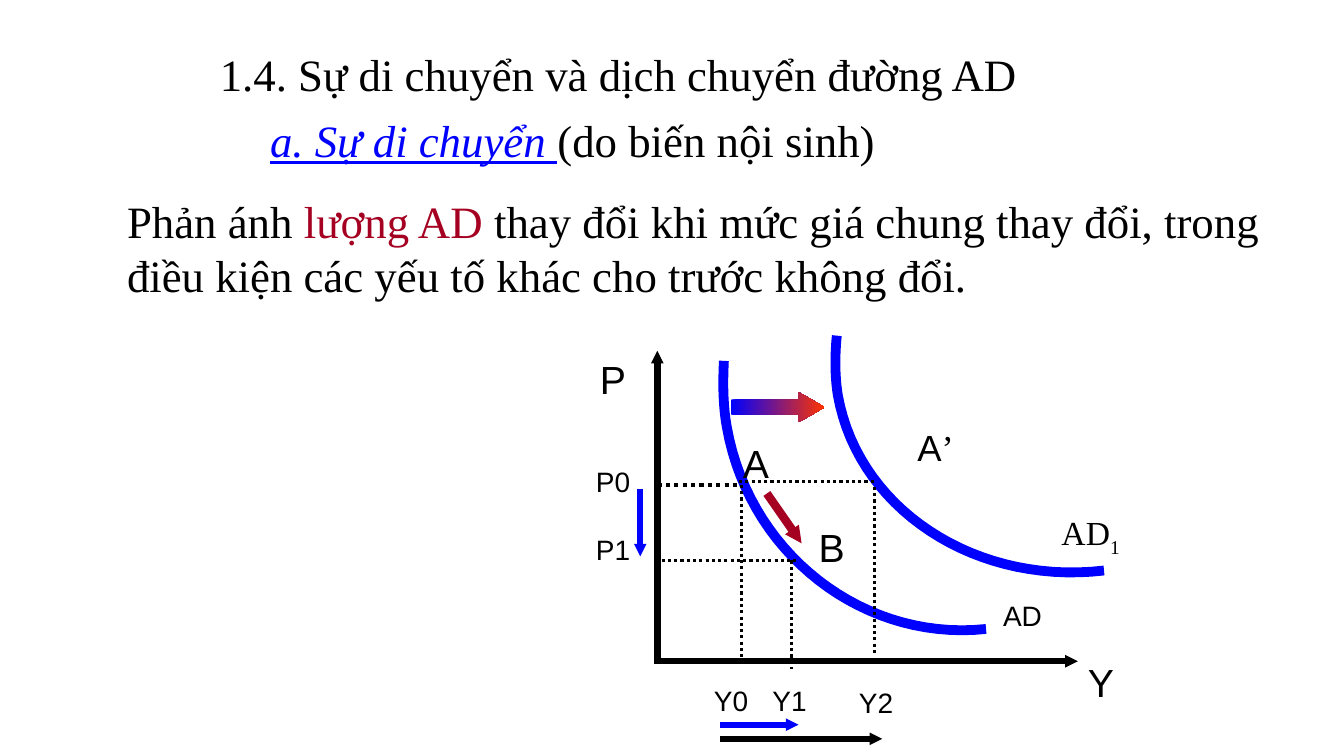
from dataclasses import dataclass

from lxml import etree
from pptx import Presentation
from pptx.dml.color import RGBColor
from pptx.enum.dml import MSO_LINE
from pptx.enum.shapes import MSO_CONNECTOR, MSO_SHAPE
from pptx.enum.text import MSO_ANCHOR, MSO_AUTO_SIZE, PP_ALIGN
from pptx.oxml.ns import qn
from pptx.slide import Slide
from pptx.text.text import TextFrame
from pptx.util import Inches, Pt

STRAIGHT = MSO_CONNECTOR.STRAIGHT
RIGHT_ARROW = MSO_SHAPE.RIGHT_ARROW
DOTTED = MSO_LINE.ROUND_DOT
LEFT, RIGHT = PP_ALIGN.LEFT, PP_ALIGN.RIGHT
TOP = MSO_ANCHOR.TOP
NO_AUTOFIT = MSO_AUTO_SIZE.NONE

Point = tuple[float, float]
Box = tuple[float, float, float, float]


@dataclass(frozen=True)
class Theme:
    serif: str = "Times New Roman"
    sans: str = "Arial"
    black: str = "000000"
    blue: str = "0000FF"
    crimson: str = "A50021"
    orange: str = "FF3300"
    heading: float = 32
    letter: float = 28
    shifted_letter: float = 26
    shifted_curve: float = 24
    tick: float = 20
    curve: float = 7
    movement: float = 6
    arrow: float = 4.5
    bold_guide: float = 3
    guide: float = 2.25


THEME = Theme()


@dataclass(frozen=True)
class Span:
    text: str
    size: float = THEME.heading
    font: str = THEME.serif
    color: str = THEME.black
    emphasis: bool = False
    subscript: bool = False


@dataclass(frozen=True)
class Label:
    box: Box
    spans: tuple[Span, ...]
    align: PP_ALIGN = LEFT
    wrap: bool = True


@dataclass(frozen=True)
class Segment:
    start: Point
    end: Point
    width: float = THEME.guide
    color: str = THEME.black
    arrow: bool = False


@dataclass(frozen=True)
class Curve:
    start: Point
    beziers: tuple[tuple[Point, Point, Point], ...]


def tick(text: str, left: float, top: float) -> Label:
    return Label((left, top, 0.58, 0.43), (Span(text, THEME.tick, THEME.sans),), RIGHT)


def letter(text: str, left: float, top: float, width: float) -> Label:
    return Label((left, top, width, 0.57), (Span(text, THEME.letter, THEME.sans),))


TITLE = Label((2.08, 0.41, 9, 0.63), (Span("1.4. Sự di chuyển và dịch chuyển đường AD"),))
DEFINITION = Label((1.16, 1.87, 11.52, 1.18), (
    Span("Phản ánh "),
    Span("lượng AD ", color=THEME.crimson),
    Span("thay đổi khi mức giá chung thay đổi, trong điều kiện các yếu tố khác cho trước không đổi."),
))
SUBTITLE = Label((2.58, 1.07, 8.67, 0.63), (
    Span("a. Sự di chuyển ", color=THEME.blue, emphasis=True),
    Span("(do biến nội sinh)"),
))
LABELS = (
    SUBTITLE,
    letter("P", 5.85, 3.48, 0.42),
    letter("Y", 10.69, 6.48, 0.42),
    letter("A", 7.27, 4.31, 0.67),
    letter("B", 8.02, 5.14, 0.67),
    tick("P0", 5.77, 4.56),
    tick("P1", 5.77, 5.23),
    tick("Y0", 6.94, 6.73),
    tick("Y1", 7.52, 6.73),
    Label((8.42, 6.75, 0.67, 0.43), (Span("Y2", THEME.tick, THEME.sans),)),
    Label((9.85, 5.89, 0.64, 0.43), (Span("AD", THEME.tick, THEME.sans),)),
    Label((9, 4.17, 1, 0.53), (
        Span("A", THEME.shifted_letter, THEME.sans),
        Span("’", THEME.shifted_letter),
    )),
    Label((10.43, 5.03, 0.8, 0.51), (
        Span("AD", THEME.shifted_curve),
        Span("1", THEME.shifted_curve, subscript=True),
    ), wrap=False),
)

ORIGIN = (6.52, 6.56)
AXES = tuple(
    Segment(ORIGIN, end, THEME.arrow, arrow=True) for end in ((6.52, 3.48), (10.69, 6.56))
)
CURVES = (
    Curve((9.78, 6.24), (
        ((8.56, 6.37), (7.43, 5.49), (7.21, 4.24)),
        ((7.17, 4.02), (7.17, 3.8), (7.18, 3.58)),
    )),
    Curve((10.95, 5.66), (
        ((9.67, 5.81), (8.51, 5.05), (8.31, 3.92)),
        ((8.28, 3.73), (8.28, 3.53), (8.3, 3.33)),
    )),
)
GUIDES = (
    Segment((6.52, 4.81), (7.35, 4.81), THEME.bold_guide),
    Segment((7.35, 4.81), (7.35, 6.56)),
    Segment((6.5, 5.56), (7.92, 5.56)),
    Segment((7.85, 5.56), (7.85, 6.64)),
    Segment((7.33, 4.78), (8.67, 4.78)),
    Segment((8.67, 4.83), (8.67, 6.5)),
)
CHANGES = (
    Segment((6.35, 4.88), (6.35, 5.52), THEME.arrow, THEME.blue, True),
    Segment((7.17, 7.19), (7.92, 7.19), THEME.arrow, THEME.blue, True),
    Segment((7.63, 4.93), (7.95, 5.39), THEME.movement, THEME.crimson, True),
    Segment((7.17, 7.33), (8.75, 7.33), THEME.arrow, arrow=True),
)
SHIFT_BOX = (7.25, 3.89, 0.93, 0.3)


def rgb(color: str) -> RGBColor:
    return RGBColor.from_string(color)


def write(frame: TextFrame, label: Label) -> None:
    frame.auto_size = NO_AUTOFIT
    frame.word_wrap = label.wrap
    frame.vertical_anchor = TOP
    paragraph = frame.paragraphs[0]
    paragraph.alignment = label.align
    paragraph.space_before = Pt(0)
    for span in label.spans:
        run = paragraph.add_run()
        run.text = span.text
        run.font.name = span.font
        run.font.size = Pt(span.size)
        run.font.color.rgb = rgb(span.color)
        run.font.italic = run.font.underline = span.emphasis
        if span.subscript:
            run._r.get_or_add_rPr().set("baseline", "-25000")


def fill_placeholder(slide: Slide, index: int, label: Label) -> None:
    holder = slide.placeholders[index]
    holder.left, holder.top, holder.width, holder.height = map(Inches, label.box)
    write(holder.text_frame, label)
    properties = holder.text_frame.paragraphs[0]._p.get_or_add_pPr()
    properties.set("marL", "0")
    properties.set("indent", "0")
    etree.SubElement(properties, qn("a:buNone"))


def add_label(slide: Slide, label: Label) -> None:
    write(slide.shapes.add_textbox(*map(Inches, label.box)).text_frame, label)


def add_segment(slide: Slide, segment: Segment) -> None:
    ends = map(Inches, segment.start + segment.end)
    connector = slide.shapes.add_connector(STRAIGHT, *ends)
    connector.line.width = Pt(segment.width)
    connector.line.color.rgb = rgb(segment.color)
    if segment.arrow:
        outline = connector.line._get_or_add_ln()
        outline.set("cap", "sq")
        etree.SubElement(outline, qn("a:tailEnd"), type="triangle", w="sm", len="sm")
    else:
        connector.line.dash_style = DOTTED
    etree.SubElement(connector._element.spPr, qn("a:effectLst"))


def bezier_point(points: tuple[Point, ...], t: float) -> Point:
    weights = ((1 - t) ** 3, 3 * t * (1 - t) ** 2, 3 * t**2 * (1 - t), t**3)
    x, y = (sum(w * p[axis] for w, p in zip(weights, points)) for axis in (0, 1))
    return x, y


def add_curve(slide: Slide, curve: Curve, steps: int = 30) -> None:
    vertices, start = [], curve.start
    for controls in curve.beziers:
        vertices += [bezier_point((start, *controls), i / steps) for i in range(1, steps + 1)]
        start = controls[-1]
    builder = slide.shapes.build_freeform(*map(Inches, curve.start))
    builder.add_line_segments([(Inches(x), Inches(y)) for x, y in vertices], close=False)
    demand = builder.convert_to_shape()
    demand.shadow.inherit = False
    demand.fill.background()
    demand.line.color.rgb = rgb(THEME.blue)
    demand.line.width = Pt(THEME.curve)


def add_shift_arrow(slide: Slide) -> None:
    shift = slide.shapes.add_shape(RIGHT_ARROW, *map(Inches, SHIFT_BOX))
    shift.adjustments[1] = 0.86
    shift.shadow.inherit = False
    shift.line.fill.background()
    shift.fill.gradient()
    shift.fill.gradient_angle = 0
    for stop, color in zip(shift.fill.gradient_stops, (THEME.blue, THEME.orange)):
        stop.color.rgb = rgb(color)


def main() -> None:
    deck = Presentation()
    deck.slide_width, deck.slide_height = Inches(13.33), Inches(7.5)
    slide = deck.slides.add_slide(deck.slide_layouts[1])
    for index, label in enumerate((TITLE, DEFINITION)):
        fill_placeholder(slide, index, label)
    for curve in CURVES:
        add_curve(slide, curve)
    for segment in AXES + GUIDES + CHANGES:
        add_segment(slide, segment)
    add_shift_arrow(slide)
    for label in LABELS:
        add_label(slide, label)
    deck.save("out.pptx")


if __name__ == "__main__":
    main()
